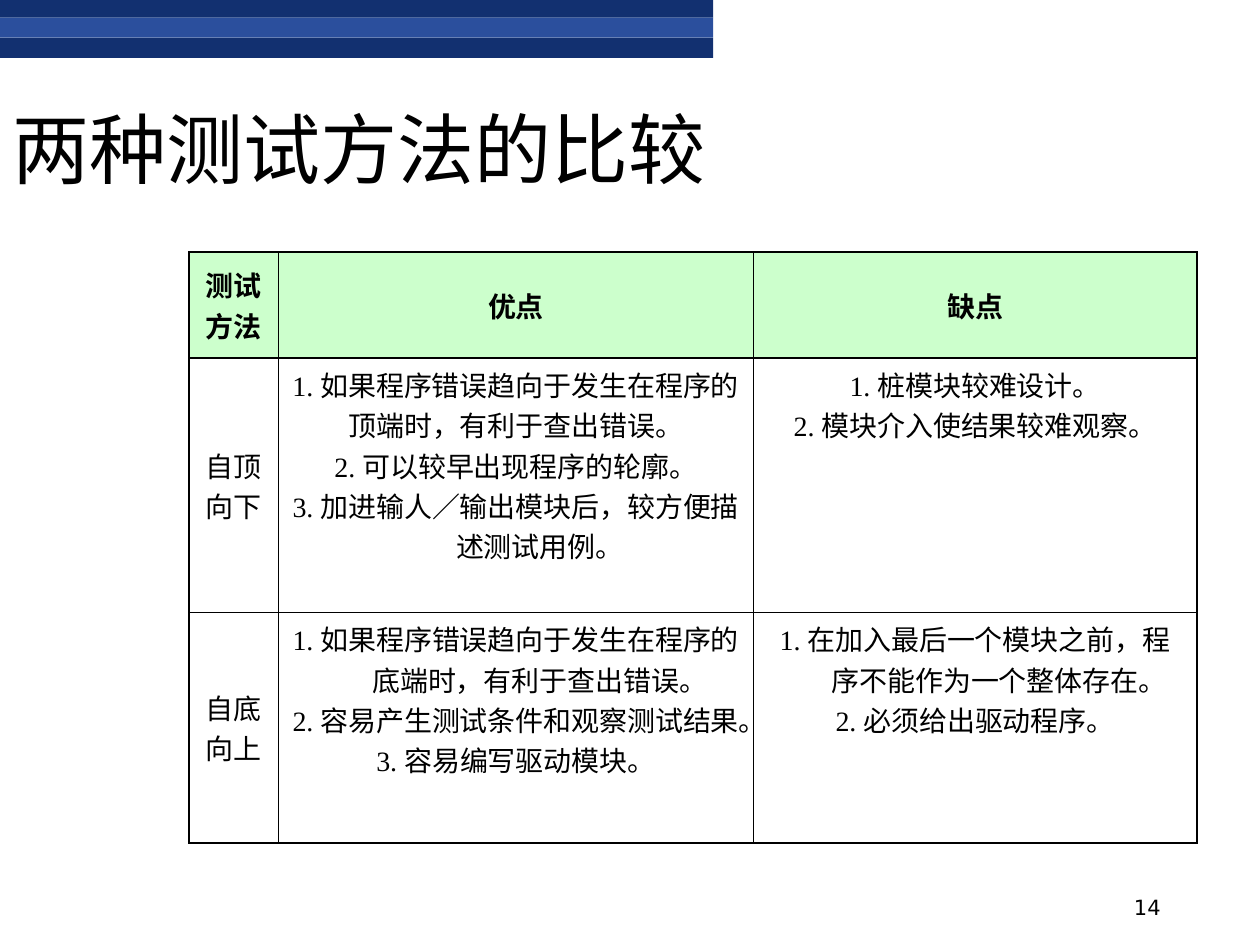
from lxml.etree import SubElement
from pptx import Presentation
from pptx.dml.color import RGBColor
from pptx.enum.shapes import MSO_SHAPE as Shape
from pptx.enum.text import MSO_ANCHOR as Anchor, MSO_AUTO_SIZE as AutoSize, PP_ALIGN as Align
from pptx.oxml.ns import qn
from pptx.util import Inches, Pt

NAVY = RGBColor(0x12, 0x30, 0x70)
BLUE = RGBColor(0x2B, 0x4F, 0x9D)
GREEN = RGBColor(0xCC, 0xFF, 0xCC)
BLACK = RGBColor(0, 0, 0)

TITLE_FORMAT = {"name": "Calibri", "size": Pt(44), "bold": False}
NUMBER_FORMAT = {"name": "DejaVu Sans", "size": Pt(12)}
HEADER_FORMAT = {"name": "Times New Roman", "size": Pt(16), "bold": True}
BODY_FORMAT = {**HEADER_FORMAT, "bold": False}

COLUMN_WIDTHS = (0.71, 3.77, 3.52)
ROW_HEIGHTS = (0.84, 2.02, 1.83)
COMPARISON = (
    (("测试", "方法"), ("优点",), ("缺点",)),
    (
        ("自顶", "向下"),
        (
            "1. 如果程序错误趋向于发生在程序的",
            "顶端时，有利于查出错误。",
            "2. 可以较早出现程序的轮廓。",
            "3. 加进输人／输出模块后，较方便描述测试用例。",
        ),
        ("1. 桩模块较难设计。", "2. 模块介入使结果较难观察。"),
    ),
    (
        ("自底", "向上"),
        (
            "1. 如果程序错误趋向于发生在程序的底端时，有利于查出错误。",
            "2. 容易产生测试条件和观察测试结果。",
            "3. 容易编写驱动模块。",
        ),
        ("1. 在加入最后一个模块之前，程序不能作为一个整体存在。", "2. 必须给出驱动程序。"),
    ),
)


def write(paragraph, text, format_values, alignment):
    paragraph.alignment = alignment
    run = paragraph.add_run()
    run.text = text
    run.font.color.rgb = BLACK
    for name, value in format_values.items():
        setattr(run.font, name, value)


def place(shape, left, top, width, height):
    box = {"left": left, "top": top, "width": width, "height": height}
    for name, value in box.items():
        setattr(shape, name, Inches(value))


def add_banner(slide, left, top, width):
    for height, color in ((0.14, NAVY), (0.16, BLUE), (0.16, NAVY)):
        band = slide.shapes.add_shape(
            Shape.RECTANGLE, Inches(left), Inches(top), Inches(width), Inches(height)
        )
        band.shadow.inherit = False
        band.fill.solid()
        band.fill.fore_color.rgb = color
        band.line.fill.background()
        top += height


def add_title(slide, text, *box):
    title = slide.shapes.title
    place(title, *box)
    frame = title.text_frame
    frame.auto_size = AutoSize.NONE
    frame.vertical_anchor = Anchor.BOTTOM
    frame.paragraphs[0].line_spacing = 0.9
    write(frame.paragraphs[0], text, TITLE_FORMAT, Align.LEFT)


def add_page_number(slide, text, *box):
    frame = slide.shapes.add_textbox(*map(Inches, box)).text_frame
    frame.word_wrap = True
    frame.vertical_anchor = Anchor.BOTTOM
    write(frame.paragraphs[0], text, NUMBER_FORMAT, Align.RIGHT)


def draw_borders(cell):
    properties = cell._tc.get_or_add_tcPr()
    for side in ("a:lnL", "a:lnR", "a:lnT", "a:lnB"):
        line = SubElement(properties, qn(side), w=str(Pt(1)))
        fill = SubElement(line, qn("a:solidFill"))
        SubElement(fill, qn("a:srgbClr"), val=str(BLACK))


def fill_cell(cell, lines, is_header, is_centered):
    draw_borders(cell)
    if is_header:
        cell.fill.solid()
        cell.fill.fore_color.rgb = GREEN
    else:
        cell.fill.background()
    cell.vertical_anchor = Anchor.MIDDLE if is_centered else Anchor.TOP
    frame = cell.text_frame
    for index, text in enumerate(lines):
        paragraph = frame.add_paragraph() if index else frame.paragraphs[0]
        write(paragraph, text, HEADER_FORMAT if is_header else BODY_FORMAT, Align.CENTER)
        properties = paragraph._p.get_or_add_pPr()
        properties.set("marL", str(Inches(0.38)))
        properties.set("indent", str(Inches(-0.38)))


def add_comparison(slide, left, top, width):
    table = slide.shapes.add_table(
        len(ROW_HEIGHTS),
        len(COLUMN_WIDTHS),
        *map(Inches, (left, top, width, sum(ROW_HEIGHTS))),
    ).table
    table.horz_banding = False
    for column, column_width in zip(table.columns, COLUMN_WIDTHS):
        column.width = Inches(column_width)
    for row, row_height in zip(table.rows, ROW_HEIGHTS):
        row.height = Inches(row_height)
    for row_index, row in enumerate(COMPARISON):
        for column_index, lines in enumerate(row):
            is_header = row_index == 0
            fill_cell(
                table.cell(row_index, column_index),
                lines,
                is_header,
                is_header or column_index == 0,
            )


def main():
    presentation = Presentation()
    presentation.slide_width = Inches(10)
    presentation.slide_height = Inches(7.5)
    slide = presentation.slides.add_slide(presentation.slide_layouts[5])
    add_banner(slide, 0, 0, 5.66)
    add_page_number(slide, "14", 7.06, 6.95, 2.25, 0.4)
    add_title(slide, "两种测试方法的比较", 0, 0.42, 8.23, 1.18)
    add_comparison(slide, 1.5, 2, 8)
    presentation.save("out.pptx")


if __name__ == "__main__":
    main()
